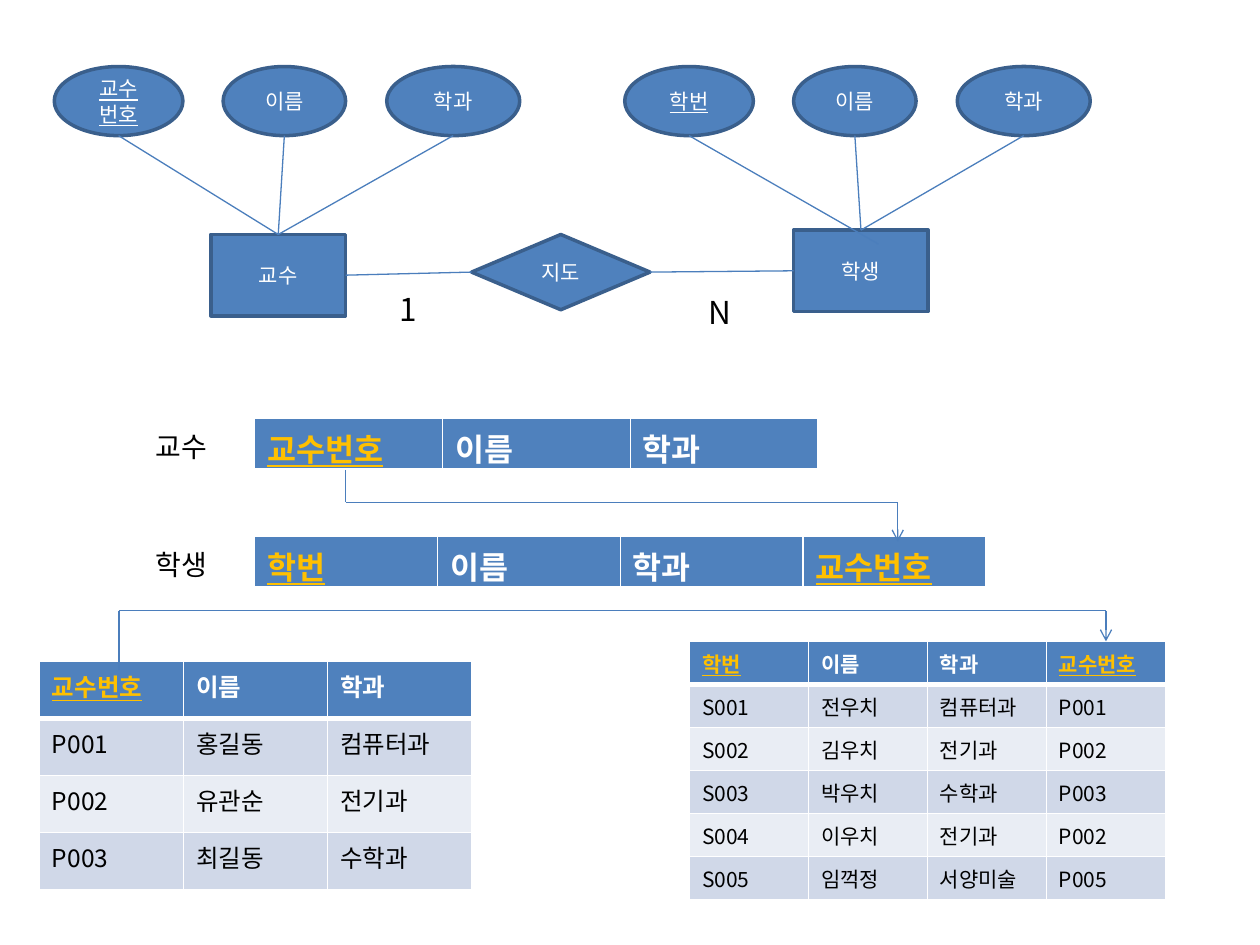
from itertools import pairwise

from lxml.etree import SubElement
from pptx import Presentation
from pptx.dml.color import RGBColor
from pptx.enum.shapes import MSO_CONNECTOR, MSO_SHAPE
from pptx.enum.text import MSO_ANCHOR, MSO_AUTO_SIZE, PP_ALIGN
from pptx.oxml.ns import qn
from pptx.util import Pt

FONT = "Noto Sans CJK KR"
COLORS = {
    "blue": "4F81BD", "outline": "3A5F8C", "connector": "4B7EBC",
    "key": "FFC000", "white": "FFFFFF", "black": "000000",
    "band_dark": "D0D8E8", "band_light": "E9EDF4",
}
TOP, LEFT, RIGHT = 0, 1, 3


def rgb(name):
    return RGBColor.from_string(COLORS[name])


def write(frame, text, size=12, color="black", bold=False, underline=False, align=None):
    para = frame.paragraphs[0]
    para.alignment = align
    span = para.add_run()
    span.text = text
    font = span.font
    font.size, font.bold, font.underline = Pt(size), bold, underline
    font.color.rgb = rgb(color)
    font.name = FONT
    SubElement(span._r.get_or_add_rPr(), qn("a:ea"), typeface=FONT)


def add_node(page, kind, box, text, underline=False):
    node = page.shapes.add_shape(kind, *map(Pt, box))
    node.shadow.inherit = False
    node.fill.solid()
    node.fill.fore_color.rgb = rgb("blue")
    node.line.color.rgb = rgb("outline")
    node.line.width = Pt(2)
    node.text_frame.word_wrap = True
    node.text_frame.vertical_anchor = MSO_ANCHOR.MIDDLE
    write(node.text_frame, text, color="white", underline=underline, align=PP_ALIGN.CENTER)
    return node


def add_line(page, start=(0, 0), end=(0, 0), begin_at=None, end_at=None, arrow=False):
    """Draw a line between points; begin_at and end_at are (shape, side) pairs to join."""
    line = page.shapes.add_connector(MSO_CONNECTOR.STRAIGHT, *map(Pt, (*start, *end)))
    if begin_at:
        line.begin_connect(*begin_at)
    if end_at:
        line.end_connect(*end_at)
    line.line.color.rgb = rgb("connector")
    line.line.width = Pt(0.75)
    if arrow:
        SubElement(line.line._get_or_add_ln(), qn("a:tailEnd"), type="arrow")
    SubElement(line._element.spPr, qn("a:effectLst"))


def add_route(page, points):
    """Draw a bent line through the points, with an arrowhead at the last one."""
    for start, end in pairwise(points):
        add_line(page, start, end, arrow=end == points[-1])


def add_label(page, box, text, size):
    label = page.shapes.add_textbox(*map(Pt, box))
    label.text_frame.word_wrap = False
    label.text_frame.auto_size = MSO_AUTO_SIZE.SHAPE_TO_FIT_TEXT
    write(label.text_frame, text, size)


def add_entity(page, left, top, entity_box, name, key, key_end=None):
    """Place an entity below its three attributes, the first of which is the key."""
    entity = add_node(page, MSO_SHAPE.RECTANGLE, entity_box, name)
    height = 39.5
    attributes = ((key, 0, 73.5), ("이름", 96.5, 70), ("학과", 190, 76))
    for text, offset, width in attributes:
        box = (left + offset, top, width, height)
        add_node(page, MSO_SHAPE.OVAL, box, text, underline=text == key)
        start = (left + offset + width / 2, top + height)
        if text == key and key_end:
            add_line(page, start, key_end)
        else:
            add_line(page, start, end_at=(entity, TOP))
    return entity


def add_diagram(page):
    professor = add_entity(page, 31, 38, (120.5, 134, 77, 46.5), "교수", "교수 번호")
    student = add_entity(page, 357, 38, (453.5, 131.5, 77, 46.5), "학생", "학번",
                         key_end=(502, 139.5))
    advises = add_node(page, MSO_SHAPE.DIAMOND, (269.5, 134, 102, 43), "지도")
    add_line(page, begin_at=(professor, RIGHT), end_at=(advises, LEFT))
    add_line(page, begin_at=(student, LEFT), end_at=(advises, RIGHT))
    add_label(page, (221, 162, 24.5, 29), "1", 18)
    add_label(page, (398, 164, 28, 29), "N", 18)


def set_borders(cell, bottom):
    properties = cell._tc.get_or_add_tcPr()
    for side, width in (("L", 1), ("R", 1), ("T", 1), ("B", bottom)):
        border = SubElement(properties, qn(f"a:ln{side}"), w=str(int(Pt(width))))
        fill = SubElement(border, qn("a:solidFill"))
        SubElement(fill, qn("a:srgbClr"), val=COLORS["white"])


def add_grid(page, box, rows, keys, size, margin_bottom=3.6):
    """Place a table in the box; header names listed in keys are highlighted."""
    width, height = box[2:]
    table = page.shapes.add_table(len(rows), len(rows[0]), *map(Pt, box)).table
    for column in table.columns:
        column.width = Pt(width / len(rows[0]))
    for index, texts in enumerate(rows):
        header = index == 0
        table.rows[index].height = Pt(height / len(rows))
        band = "blue" if header else "band_dark" if index % 2 else "band_light"
        for cell, text in zip(table.rows[index].cells, texts):
            is_key = header and text in keys
            color = "key" if is_key else "white" if header else "black"
            set_borders(cell, bottom=3 if header else 1)
            cell.fill.solid()
            cell.fill.fore_color.rgb = rgb(band)
            cell.margin_bottom = Pt(margin_bottom)
            write(cell.text_frame, text, size, color, bold=header, underline=is_key)


def add_schema(page, top, name, columns, keys, width):
    add_label(page, (82, top + 3, 47, 26.5), name, 16)
    add_grid(page, (145.5, top, width, 29.5), [columns], keys, 18, margin_bottom=0)


def main():
    deck = Presentation()
    deck.slide_width, deck.slide_height = Pt(720), Pt(540)
    page = deck.slides.add_slide(deck.slide_layouts[6])
    professor_columns = ("교수번호", "이름", "학과")
    student_columns = ("학번", "이름", "학과", "교수번호")
    keys = ("학번", "교수번호")

    add_diagram(page)
    add_schema(page, 239, "교수", professor_columns, keys, 322)
    add_schema(page, 306.5, "학생", student_columns, keys, 418)
    add_grid(page, (22.5, 378, 247, 130.5), [
        professor_columns,
        ("P001", "홍길동", "컴퓨터과"),
        ("P002", "유관순", "전기과"),
        ("P003", "최길동", "수학과"),
    ], keys, 14)
    add_grid(page, (394, 366.5, 272, 147.6), [
        student_columns,
        ("S001", "전우치", "컴퓨터과", "P001"),
        ("S002", "김우치", "전기과", "P002"),
        ("S003", "박우치", "수학과", "P003"),
        ("S004", "이우치", "전기과", "P002"),
        ("S005", "임꺽정", "서양미술", "P005"),
    ], keys, 12)
    add_route(page, [(197.5, 268.5), (197.5, 287), (513, 287), (513, 309.5)])
    add_route(page, [(68, 383), (68, 349), (632, 349), (632, 366.5)])
    deck.save("out.pptx")


if __name__ == "__main__":
    main()
